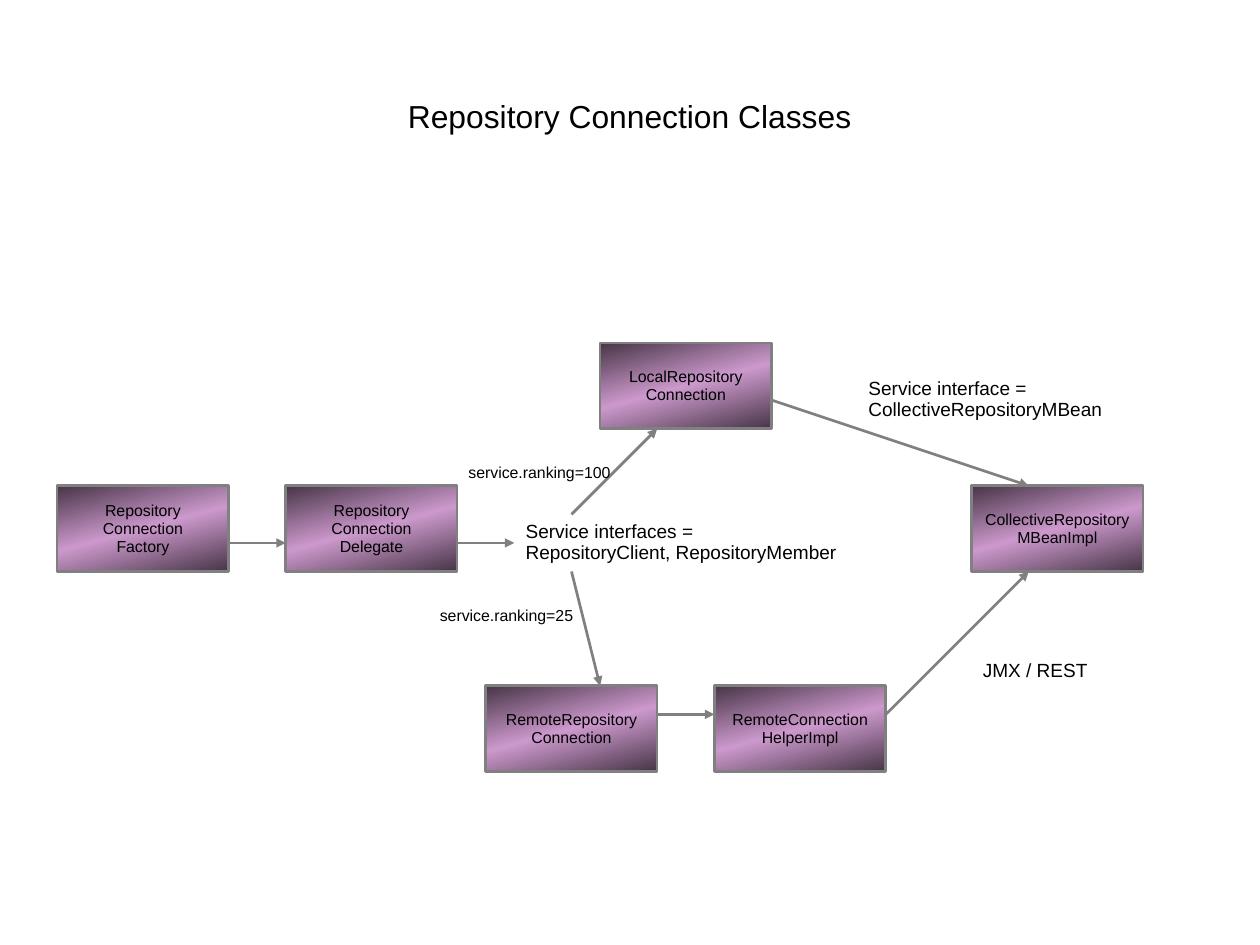
from copy import deepcopy

from pptx import Presentation
from pptx.dml.color import RGBColor
from pptx.enum.shapes import MSO_CONNECTOR as Link, MSO_SHAPE as Shape
from pptx.enum.text import MSO_ANCHOR as Anchor, MSO_AUTO_SIZE as AutoSize, PP_ALIGN as Align
from pptx.oxml.ns import qn
from pptx.oxml.xmlchemy import OxmlElement
from pptx.util import Cm, Pt

GRID = 2.54  # centimetres per diagram unit
BOX_WIDTH, BOX_HEIGHT = 1.5, 0.75


def grid(*units):
    return [Cm(unit * GRID) for unit in units]


def color(value):
    return RGBColor.from_string(value)


def write(frame, text, size=10, align=Align.LEFT, anchor=Anchor.TOP,
          insets=(0.1, 0.06, 0.1, 0.05), wrap=True, font="Arial", ink="000000"):
    """Fill a text frame, one paragraph per line of text."""
    frame.auto_size = AutoSize.NONE
    frame.word_wrap = wrap
    frame.vertical_anchor = anchor
    (frame.margin_left, frame.margin_top,
     frame.margin_right, frame.margin_bottom) = grid(*insets)
    frame.text = text
    for para in frame.paragraphs:
        para.alignment = align
        para.line_spacing = 0.93
        for span in para.runs:
            span.font.name = font
            span.font.size = Pt(size)
            span.font.color.rgb = color(ink)


class Diagram:
    edge, edge_width = "808080", Pt(1.7)
    stops = [(0, "473547"), (0.5, "CC99CC"), (1, "473547")]

    def __init__(self, page):
        self.page = page

    def outline(self, line):
        line.color.rgb = color(self.edge)
        line.width = self.edge_width

    def title(self, text, left, top, width, height):
        title = self.page.shapes.title
        title.left, title.top, title.width, title.height = grid(left, top, width, height)
        write(title.text_frame, text, size=20, align=Align.CENTER,
              anchor=Anchor.MIDDLE, insets=(0, 0.02, 0, 0))

    def box(self, text, left, top):
        box = self.page.shapes.add_shape(
            Shape.RECTANGLE, *grid(left, top, BOX_WIDTH, BOX_HEIGHT))
        box.shadow.inherit = False
        box.fill.gradient()
        # A new gradient has two stops; add the middle one
        stop_list = box._element.spPr.find(qn("a:gradFill")).find(qn("a:gsLst"))
        stop_list.insert(1, deepcopy(stop_list[0]))
        for stop, (position, value) in zip(box.fill.gradient_stops, self.stops):
            stop.position = position
            stop.color.rgb = color(value)
        box.fill.gradient_angle = 285
        self.outline(box.line)
        write(box.text_frame, text, align=Align.CENTER, anchor=Anchor.MIDDLE)

    def label(self, text, left, top, width, height, **style):
        label = self.page.shapes.add_textbox(*grid(left, top, width, height))
        write(label.text_frame, text, **style)

    def arrow(self, start, end):
        arrow = self.page.shapes.add_connector(Link.STRAIGHT, *grid(*start, *end))
        self.outline(arrow.line)
        head = OxmlElement("a:tailEnd")
        head.set("type", "triangle")
        properties = arrow._element.spPr
        properties.find(qn("a:ln")).append(head)
        properties.append(OxmlElement("a:effectLst"))


deck = Presentation()
deck.slide_width, deck.slide_height = Cm(28), Cm(21)
diagram = Diagram(deck.slides.add_slide(deck.slide_layouts[5]))
diagram.title("Repository Connection Classes", 0.55, 0.38, 9.92, 1.28)

# Class boxes
for text, left, top in [
    ("CollectiveRepositoryMBeanImpl", 8.5, 4.25),
    ("RemoteRepository\nConnection", 4.25, 6),
    ("LocalRepository\nConnection", 5.25, 3),
    ("RemoteConnection\nHelperImpl", 6.25, 6),
    ("Repository\nConnection\nDelegate", 2.5, 4.25),
    ("Repository\nConnection\nFactory", 0.5, 4.25),
]:
    diagram.box(text, left, top)

# Calls between classes
for start, end in [
    ((7.75, 6.25), (9, 5)),
    ((6.75, 3.5), (9, 4.25)),
    ((2, 4.75), (2.5, 4.75)),
    ((4, 4.75), (4.5, 4.75)),
    ((5, 4.5), (5.75, 3.75)),
    ((5, 5), (5.25, 6)),
    ((5.75, 6.25), (6.25, 6.25)),
]:
    diagram.arrow(start, end)

# Interface labels
diagram.label("JMX / REST", 8.5, 5.72, 1.75, 0.28, size=12)
diagram.label("Service interface = CollectiveRepositoryMBean", 7.5, 3.25, 2.5, 0.69, size=12)
diagram.label("Service interfaces =\nRepositoryClient, RepositoryMember",
              4.5, 4.5, 2.92, 0.47, size=12, wrap=False)

# Service rankings
for ranking, left, top in [(100, 4, 4), (25, 3.75, 5.25)]:
    diagram.label(f"service.ranking={ranking}", left, top, 1.5, 0.25)

deck.save("out.pptx")
